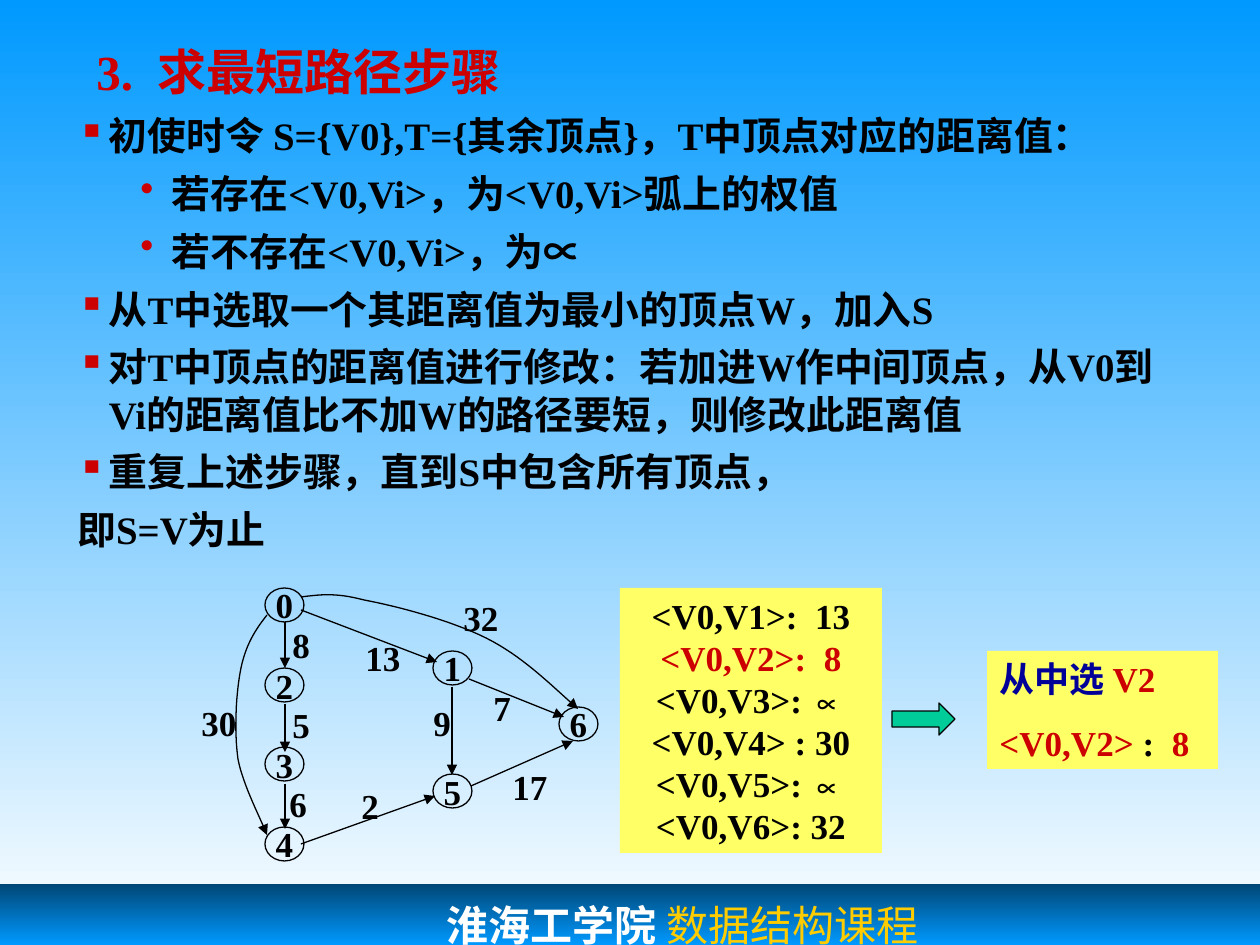
"""Build the slide on the steps of the shortest path algorithm."""
from lxml.etree import SubElement
from pptx import Presentation
from pptx.dml.color import RGBColor
from pptx.enum.shapes import MSO_CONNECTOR, MSO_SHAPE
from pptx.enum.text import MSO_ANCHOR, PP_ALIGN
from pptx.oxml.ns import qn
from pptx.util import Pt

SCALE = 914400 / 126
COLORS = {"black": "000000", "white": "FFFFFF", "red": "CC0000", "navy": "000099",
          "gold": "FFCC00", "yellow": "FFFF66", "green": "00CC99",
          "sky": "0099FF", "deep": "004776"}
SERIF = {"name": "Times New Roman", "size": 20, "bold": True, "color": "black"}
SYMBOL = {"name": "Arial"}
RED, NAVY = {"color": "red"}, {"color": "navy"}

TITLE = [[("3.  求最短路径步骤", RED)]]
FOOTER = [[("淮海工学院", {"name": "Courier New", "color": "white"}),
           (" 数据结构课程", {"color": "gold", "bold": False})]]
STEPS = [
    ("▪", 0, [("初使时令 S={V0},T={其余顶点}，T中顶点对应的距离值：", {})]),
    ("•", 63, [("若存在<V0,Vi>，为<V0,Vi>弧上的权值", {})]),
    ("•", 63, [("若不存在<V0,Vi>，为", {}), ("∝", SYMBOL)]),
    ("▪", 0, [("从T中选取一个其距离值为最小的顶点W，加入S", {})]),
    ("▪", 0, [("对T中顶点的距离值进行修改：若加进W作中间顶点，从V0到Vi的距离值"
               "比不加W的路径要短，则修改此距离值", {})]),
    ("▪", 0, [("重复上述步骤，直到S中包含所有顶点，", {})]),
    (None, 0, [("即S=V为止", {})]),
]
DISTANCES = [
    [("<V0,V1>:  13", {})],
    [("<V0,V2>:  8", RED)],
    [("<V0,V3>: ", {}), ("∝", SYMBOL)],
    [("<V0,V4> : 30", {})],
    [("<V0,V5>: ", {}), ("∝", SYMBOL)],
    [("<V0,V6>: 32", {})],
]
CHOICE = [[("从中选 ", NAVY), ("V2", RED)],
          [("<V0,V2>", RED), (" :  ", {}), ("8", RED)]]
NODES = {"0": (265, 588), "2": (265, 668), "3": (265, 747), "4": (265, 827),
         "1": (433, 651), "5": (433, 774), "6": (559, 707)}
EDGES = [(285, 622, 285, 668), (285, 704, 285, 752), (285, 784, 285, 829),
         (301, 610, 437, 662), (469, 679, 564, 717), (301, 844, 435, 796),
         (471, 786, 573, 741), (452, 687, 452, 775)]
CURVES = [
    [(267, 615), (256, 629), (246, 644), (241, 668), (236, 692),
     (234, 731), (238, 759), (243, 786), (263, 823), (267, 835)],
    [(301, 597), (318, 595), (334, 592), (364, 600), (396, 606),
     (450, 620), (486, 638), (522, 656), (549, 683), (578, 709)],
]
WEIGHTS = [("8", 280, 617), ("5", 280, 697), ("6", 277, 776), ("2", 349, 778),
           ("30", 189, 695), ("13", 353, 630), ("7", 481, 680), ("17", 500, 759),
           ("32", 451, 590), ("9", 421, 695)]


def px(*values):
    return [round(v * SCALE) for v in values]


def rgb(name):
    return RGBColor.from_string(COLORS[name])


def set_gradient(fill, *names):
    fill.gradient()
    fill.gradient_angle = 270
    for stop, name in zip(fill.gradient_stops, names):
        stop.color.rgb = rgb(name)


def set_line(sp, arrow=False):
    sp.line.color.rgb = rgb("black")
    sp.line.width = Pt(0.75)
    if arrow:
        SubElement(sp.line._get_or_add_ln(), qn("a:tailEnd"), type="triangle")


def add_shape(s, kind, box, fill=None, line=False):
    sp = s.shapes.add_shape(kind, *px(*box))
    sp.shadow.inherit = False
    if fill:
        sp.fill.solid()
        sp.fill.fore_color.rgb = rgb(fill)
    else:
        sp.fill.background()
    if line:
        set_line(sp)
    else:
        sp.line.fill.background()
    return sp


def write(sp, paragraphs, base={}, leading=24, gap=0, align=PP_ALIGN.LEFT, **frame):
    tf = sp.text_frame
    settings = {"word_wrap": True, "vertical_anchor": MSO_ANCHOR.TOP, **frame}
    for key, value in settings.items():
        setattr(tf, key, value)
    for i, runs in enumerate(paragraphs):
        p = tf.add_paragraph() if i else tf.paragraphs[0]
        p.alignment = align
        p.line_spacing = Pt(leading)
        p.space_before = Pt(gap if i else 0)
        for text, style in runs:
            r = p.add_run()
            r.text = text
            form = {**SERIF, **base, **style}
            r.font.color.rgb = rgb(form.pop("color"))
            form["size"] = Pt(form["size"])
            for key, value in form.items():
                setattr(r.font, key, value)


def add_text(s, box, paragraphs, **options):
    sp = s.shapes.add_textbox(*px(*box))
    write(sp, paragraphs, **options)
    return sp


def add_steps(s):
    sp = add_text(s, (65, 105, 1132, 456), [runs for _, _, runs in STEPS],
                  base={"size": 22.2}, leading=27, gap=6)
    for p, (bullet, offset, _) in zip(sp.text_frame.paragraphs, STEPS):
        pPr = p._p.get_or_add_pPr()
        margin, indent = px(offset + 31.5, -31.5)
        pPr.set("marL", str(margin))
        pPr.set("indent", str(indent))
        if bullet:
            color = SubElement(pPr, qn("a:buClr"))
            SubElement(color, qn("a:srgbClr"), val=COLORS["red"])
            SubElement(pPr, qn("a:buChar"), char=bullet)


def add_edge(s, ends):
    line = s.shapes.add_connector(MSO_CONNECTOR.STRAIGHT, *px(*ends))
    set_line(line, arrow=True)
    SubElement(line._element.spPr, qn("a:effectLst"))


def bezier(a, b, c, d, t):
    u = 1 - t
    return tuple(u**3 * w + 3 * u * u * t * x + 3 * u * t * t * y + t**3 * z
                 for w, x, y, z in zip(a, b, c, d))


def add_curve(s, points, steps=16):
    path = [bezier(*points[i:i + 4], k / steps)
            for i in range(0, len(points) - 1, 3) for k in range(1, steps + 1)]
    builder = s.shapes.build_freeform(*px(*points[0]), scale=1.0)
    builder.add_line_segments([px(*pt) for pt in path], close=False)
    sp = builder.convert_to_shape()
    sp.shadow.inherit = False
    sp.fill.background()
    set_line(sp, arrow=True)


def add_graph(s):
    for name, (x, y) in NODES.items():
        sp = add_shape(s, MSO_SHAPE.OVAL, (x, y, 39, 34), line=True)
        write(sp, [[(name, {})]], align=PP_ALIGN.CENTER, word_wrap=False,
              vertical_anchor=MSO_ANCHOR.MIDDLE, margin_top=0, margin_bottom=0)
    for ends in EDGES:
        add_edge(s, ends)
    for points in CURVES:
        add_curve(s, points)
    for text, x, y in WEIGHTS:
        add_text(s, (x, y, 26 + 17 * len(text), 55), [[(text, {})]], word_wrap=False)


def main():
    prs = Presentation()
    prs.slide_width, prs.slide_height = px(1260, 945)
    s = prs.slides.add_slide(prs.slide_layouts[6])
    set_gradient(s.background.fill, "sky", "white")
    footer = add_shape(s, MSO_SHAPE.RECTANGLE, (0, 884, 1260, 61))
    set_gradient(footer.fill, "deep", "sky")
    write(footer, FOOTER, base={"size": 24}, leading=34,
          margin_left=px(447)[0], margin_bottom=0)
    add_text(s, (84, 32, 1071, 73), TITLE, base={"size": 28}, leading=36,
             vertical_anchor=MSO_ANCHOR.MIDDLE)
    add_steps(s)
    add_graph(s)
    table = add_shape(s, MSO_SHAPE.RECTANGLE, (620, 588, 262, 265), "yellow")
    write(table, DISTANCES, align=PP_ALIGN.CENTER)
    choice = add_shape(s, MSO_SHAPE.RECTANGLE, (987, 651, 231, 118), "yellow")
    write(choice, CHOICE, gap=12.5)
    add_shape(s, MSO_SHAPE.RIGHT_ARROW, (892, 703, 63, 32), "green", line=True)
    prs.save("out.pptx")


if __name__ == "__main__":
    main()
